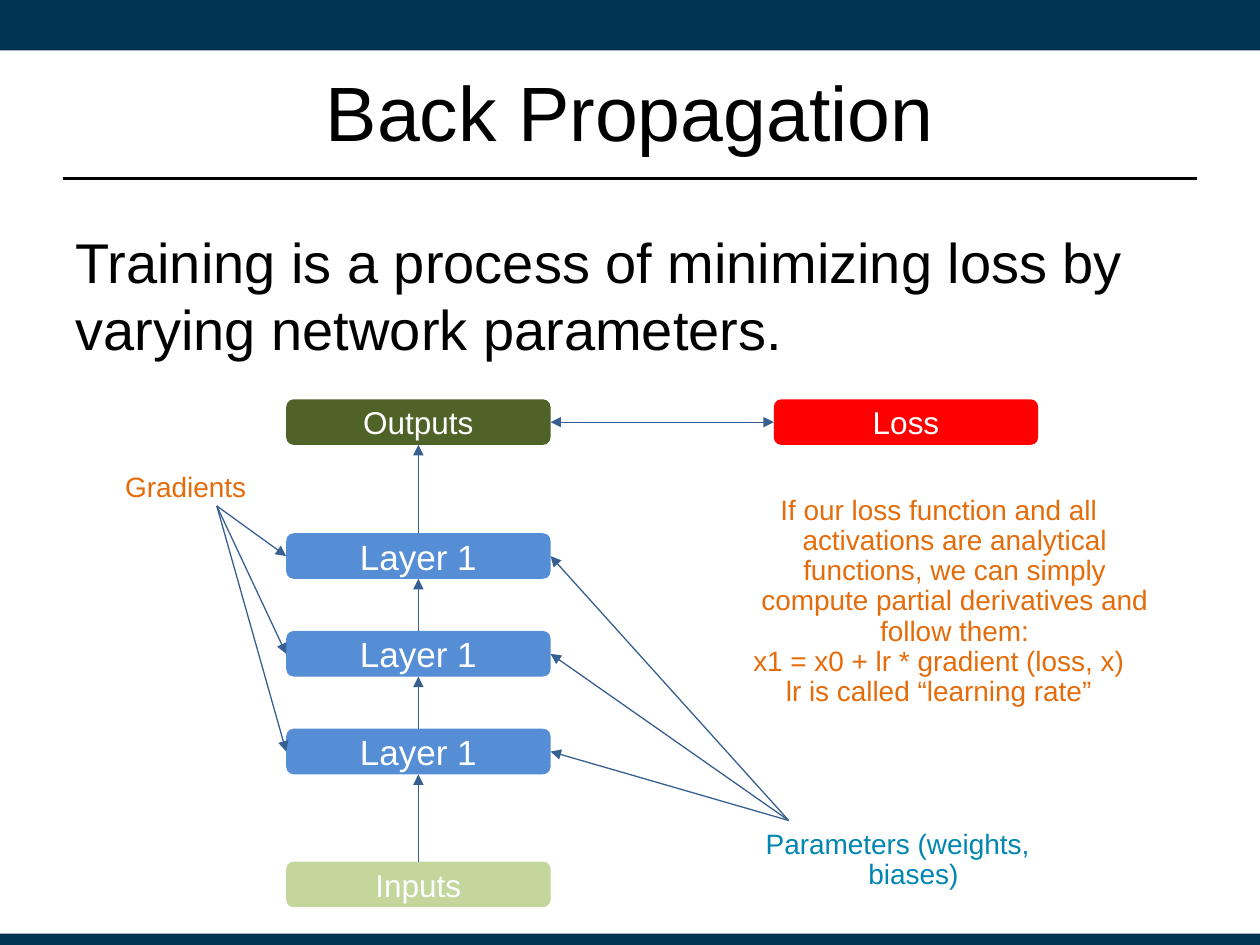
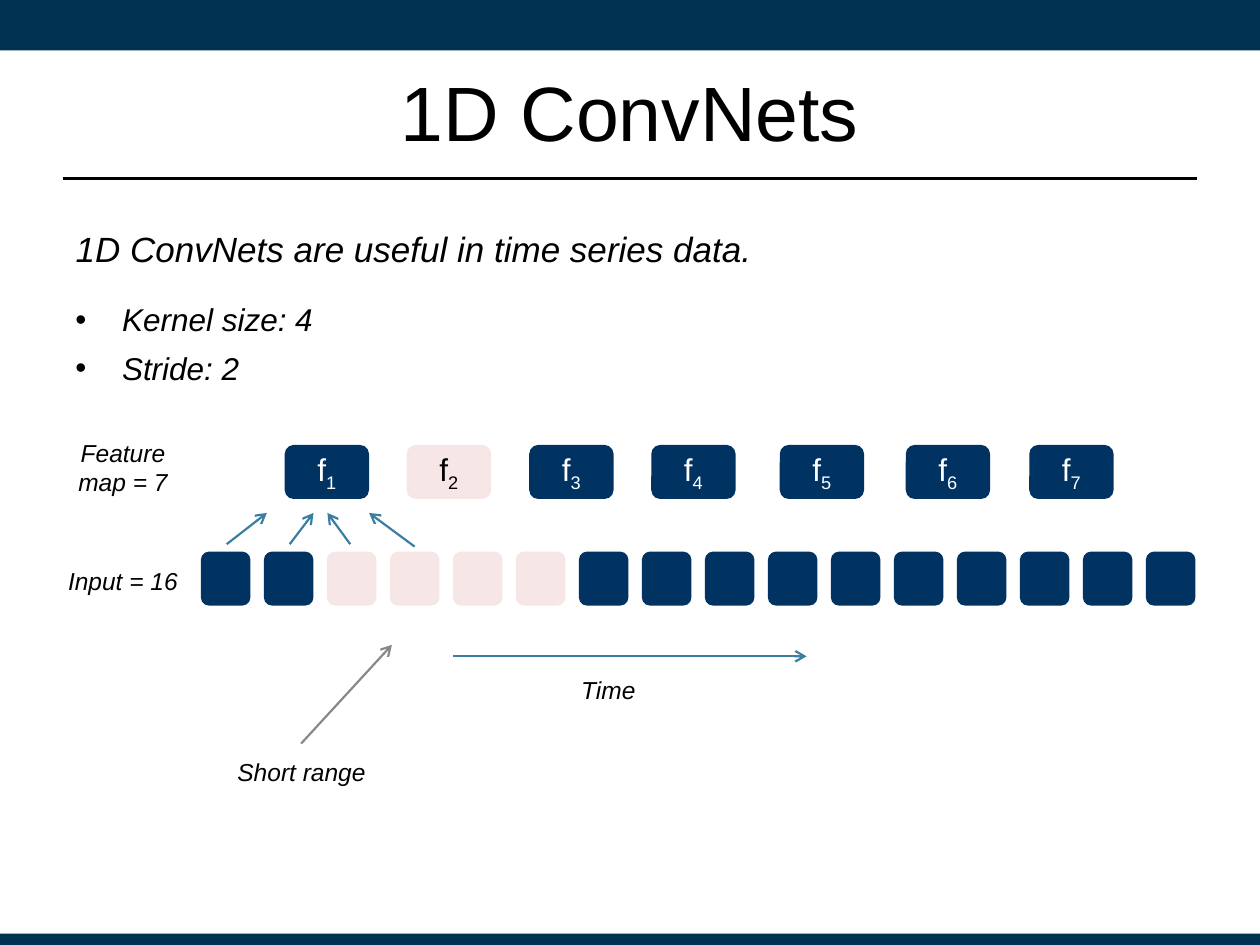
"""Build two slides on back propagation and one-dimensional convolution."""
from dataclasses import dataclass

from lxml import etree
from pptx import Presentation
from pptx.dml.color import RGBColor
from pptx.enum.shapes import MSO_CONNECTOR, MSO_SHAPE
from pptx.enum.text import MSO_ANCHOR, MSO_AUTO_SIZE, PP_ALIGN
from pptx.oxml.ns import qn
from pptx.util import Cm, Pt

RECTANGLE = MSO_SHAPE.RECTANGLE
ROUNDED = MSO_SHAPE.ROUNDED_RECTANGLE
STRAIGHT = MSO_CONNECTOR.STRAIGHT
TOP, MIDDLE = MSO_ANCHOR.TOP, MSO_ANCHOR.MIDDLE
LEFT, CENTER = PP_ALIGN.LEFT, PP_ALIGN.CENTER
NO_FIT = MSO_AUTO_SIZE.NONE
SITE_TOP, SITE_LEFT, SITE_BOTTOM, SITE_RIGHT = range(4)
TEXT_LAYOUT, TWO_TEXT_LAYOUT = 1, 3
PAGE_WIDTH, PAGE_HEIGHT = 25.4, 19.05


@dataclass(frozen=True)
class Theme:
    font: str = "Arial"
    band: str = "003252"
    ink: str = "000000"
    white: str = "FFFFFF"
    layer: str = "558ED5"
    flow: str = "376092"
    loss: str = "FF0000"
    outputs: str = "4F6228"
    inputs: str = "C3D69B"
    parameters: str = "0086B3"
    gradients: str = "E46C0A"
    cell: str = "003262"
    highlight: str = "F6E6E5"
    arrow: str = "3B7EA1"
    gray: str = "888888"
    title_size: int = 44
    lead_size: int = 32
    large_size: int = 20
    box_size: int = 18
    note_size: int = 16
    label_size: int = 14
    thin: float = 0.75
    medium: float = 1.25


def color(value):
    return RGBColor.from_string(value)


def write(frame, *lines, size, ink, font, align=LEFT, anchor=TOP, italic=False,
          bullet=None, hanging=0, gap=0, spacing=None, inset=None, subscript=""):
    """Fill a text frame with one paragraph per line."""
    frame.word_wrap = True
    frame.auto_size = NO_FIT
    frame.vertical_anchor = anchor
    if inset is not None:
        frame.margin_left = frame.margin_right = Cm(inset)
        frame.margin_top = frame.margin_bottom = Cm(inset)
    for index, line in enumerate(lines):
        para = frame.paragraphs[0] if index == 0 else frame.add_paragraph()
        properties = para._p.get_or_add_pPr()
        properties.set("marL", str(Cm(hanging)))
        properties.set("indent", str(-Cm(hanging)))
        if bullet:
            etree.SubElement(properties, qn("a:buChar")).set("char", bullet)
        else:
            etree.SubElement(properties, qn("a:buNone"))
        para.alignment = align
        para.space_before = Pt(gap if index else 0)
        if spacing:
            para.line_spacing = spacing
        for text, baseline in ((line, None), (subscript, "-25000")):
            if not text:
                continue
            span = para.add_run()
            span.text = text
            span.font.name = font
            span.font.size = Pt(size)
            span.font.italic = italic
            span.font.color.rgb = color(ink)
            if baseline:
                span._r.get_or_add_rPr().set("baseline", baseline)


class Deck:
    """Hold the theme and the slide being drawn."""

    def __init__(self, theme):
        self.theme = theme
        self.presentation = Presentation()
        self.presentation.slide_width = Cm(PAGE_WIDTH)
        self.presentation.slide_height = Cm(PAGE_HEIGHT)
        self.page = None

    def add_page(self, title, layout):
        theme = self.theme
        layouts = self.presentation.slide_layouts
        self.page = self.presentation.slides.add_slide(layouts[layout])
        self.box((0, 0, PAGE_WIDTH, 1.02), theme.band, kind=RECTANGLE)
        self.box((0, 18.82, PAGE_WIDTH, 0.23), theme.band, kind=RECTANGLE)
        self.line((1.27, 3.6), (24.13, 3.6), theme.ink, theme.medium)
        self.placeholder(0, (1.27, 0.64, 22.86, 3.18), title,
                         size=theme.title_size, align=CENTER, anchor=MIDDLE)

    def placeholder(self, index, area, *lines, **style):
        holder = self.page.placeholders[index]
        holder.left, holder.top, holder.width, holder.height = map(Cm, area)
        write(holder.text_frame, *lines, ink=self.theme.ink,
              font=self.theme.font, **style)

    def label(self, area, *lines, **style):
        frame = self.page.shapes.add_textbox(*map(Cm, area)).text_frame
        write(frame, *lines, font=self.theme.font, align=CENTER, inset=0.25, **style)

    def box(self, area, fill, text="", kind=ROUNDED, **style):
        box = self.page.shapes.add_shape(kind, *map(Cm, area))
        box.shadow.inherit = False
        box.fill.solid()
        box.fill.fore_color.rgb = color(fill)
        box.line.fill.background()
        if text:
            write(box.text_frame, text, font=self.theme.font, align=CENTER,
                  anchor=MIDDLE, **style)
        return box

    def line(self, start, end, ink, width, head=None, tail=None):
        """Join two ends, each a point or a (box, site) pair."""
        ends = [(0, 0) if hasattr(end_[0], "fill") else end_ for end_ in (start, end)]
        connector = self.page.shapes.add_connector(
            STRAIGHT, *(Cm(value) for point in ends for value in point))
        if ends[0] is not start:
            connector.begin_connect(*start)
        if ends[1] is not end:
            connector.end_connect(*end)
        connector.line.color.rgb = color(ink)
        connector.line.width = Pt(width)
        properties = connector.element.spPr
        stroke = properties.find(qn("a:ln"))
        for tag, arrow in (("a:headEnd", head), ("a:tailEnd", tail)):
            if arrow:
                etree.SubElement(stroke, qn(tag)).set("type", arrow)
        etree.SubElement(properties, qn("a:effectLst"))


def draw_back_propagation(deck):
    theme = deck.theme
    deck.add_page("Back Propagation", TEXT_LAYOUT)
    deck.placeholder(
        1, (1.27, 4.45, 22.86, 3.05),
        "Training is a process of minimizing loss by varying network parameters.",
        size=theme.lead_size)

    column, width, height = 5.77, 5.33, 0.92
    ends = {"ink": theme.white, "size": theme.box_size}
    outputs = deck.box((column, 8.05, width, height), theme.outputs, "Outputs", **ends)
    loss = deck.box((15.6, 8.05, width, height), theme.loss, "Loss", **ends)
    inputs = deck.box((column, 17.37, width, height), theme.inputs, "Inputs", **ends)
    layers = [deck.box((column, 10.75 + 1.97 * row, width, height), theme.layer,
                       "Layer 1", ink=theme.white, size=theme.large_size)
              for row in range(3)]

    flow = {"ink": theme.flow, "width": theme.thin, "tail": "triangle"}
    stack = [outputs, *layers, inputs]
    for upper, lower in zip(stack, stack[1:]):
        deck.line((lower, SITE_TOP), (upper, SITE_BOTTOM), **flow)
    deck.line((outputs, SITE_RIGHT), (loss, SITE_LEFT), head="triangle", **flow)
    for layer in layers:
        deck.line((4.37, 10.2), (layer, SITE_LEFT), **flow)
        deck.line((15.9, 16.54), (layer, SITE_RIGHT), **flow)

    note = {"size": theme.note_size, "hanging": 0.64, "spacing": 0.9}
    deck.label((1.93, 9.3, 3.63, 1.57), "Gradients", ink=theme.gradients, **note)
    deck.label((14.96, 16.48, 6.27, 1.88), "Parameters (weights, biases)",
               ink=theme.parameters, **note)
    deck.label((14.38, 9.75, 9.09, 4.62),
               "If our loss function and all activations are analytical functions, "
               "we can simply compute partial derivatives and follow them:",
               "x1 = x0 + lr * gradient (loss, x)",
               "lr is called “learning rate”",
               ink=theme.gradients, **note)


def draw_convnets(deck):
    theme = deck.theme
    deck.add_page("1D ConvNets", TWO_TEXT_LAYOUT)
    deck.placeholder(1, (1.27, 4.45, 22.86, 0.97),
                     "1D ConvNets are useful in time series data.",
                     size=theme.large_size, italic=True)
    deck.placeholder(2, (1.27, 5.97, 6.17, 1.9), "Kernel size: 4", "Stride: 2",
                     size=theme.box_size, italic=True, anchor=MIDDLE,
                     bullet="•", hanging=0.94, gap=6, inset=0.25)

    feature_lefts = (5.74, 8.2, 10.67, 13.13, 15.72, 18.26, 20.75)
    for number, left in enumerate(feature_lefts, 1):
        fill, ink = ((theme.highlight, theme.ink) if number == 2
                     else (theme.cell, theme.white))
        deck.box((left, 8.97, 1.7, 1.09), fill, "f", subscript=str(number),
                 ink=ink, size=theme.box_size)
    for step in range(16):
        fill = theme.highlight if 2 <= step < 6 else theme.cell
        deck.box((4.05 + 1.27 * step, 11.12, 1, 1.09), fill)

    arrow = {"width": theme.medium, "tail": "arrow"}
    kernel_arrows = (((4.57, 10.97), 5.38), ((5.84, 10.97), 6.32),
                     ((7.06, 10.97), 6.6), ((8.36, 11.02), 7.44))
    for start, tip in kernel_arrows:
        deck.line(start, (tip, 10.34), theme.arrow, **arrow)
    deck.line((9.14, 13.23), (16.26, 13.23), theme.arrow, **arrow)
    deck.line((6.07, 14.99), (7.9, 13), theme.gray, **arrow)

    labels = (("Feature map = 7", (1.12, 8.74, 2.72, 1.35)),
              ("Input = 16", (1.12, 11.23, 2.72, 0.97)),
              ("Time", (10.97, 13.44, 2.59, 0.91)),
              ("Short range", (3.58, 14.81, 5, 1.5)))
    for text, area in labels:
        deck.label(area, text, size=theme.label_size, ink=theme.ink,
                   italic=True, anchor=MIDDLE)


def main():
    deck = Deck(Theme())
    draw_back_propagation(deck)
    draw_convnets(deck)
    deck.presentation.save("out.pptx")


if __name__ == "__main__":
    main()
